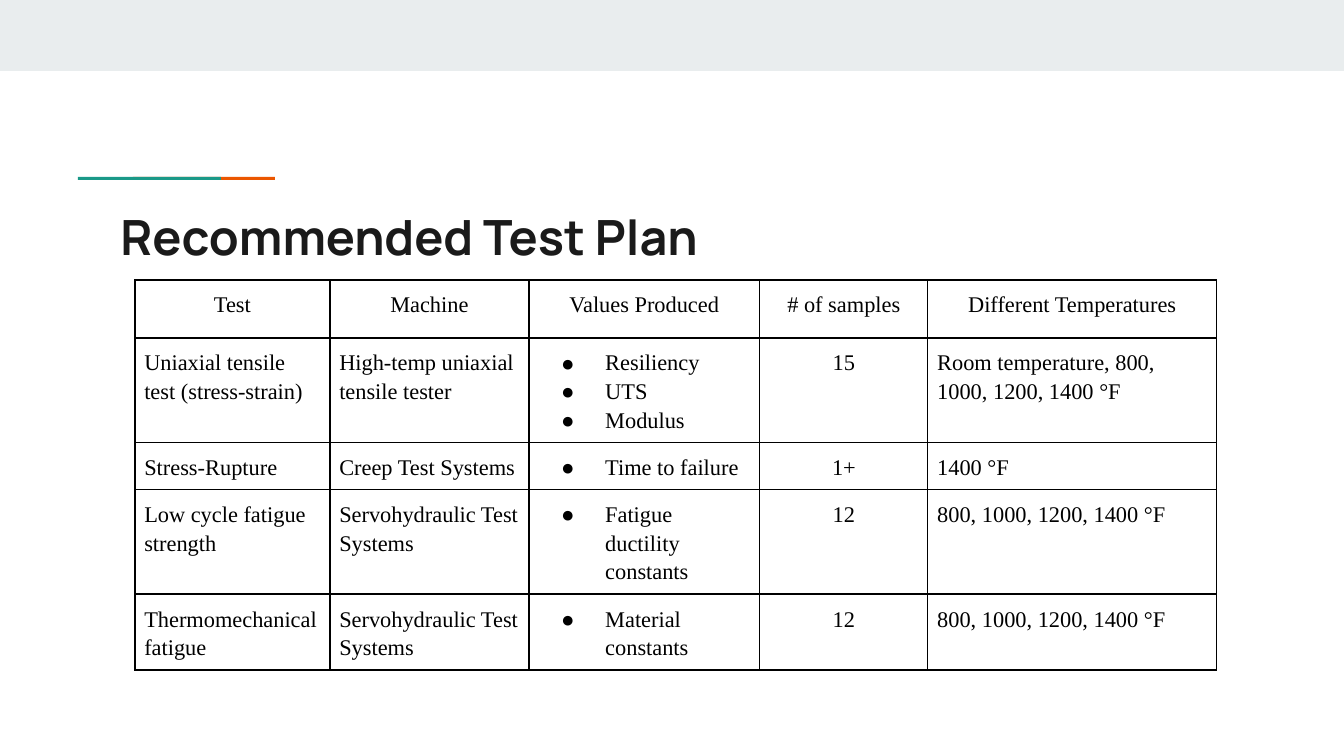
"""Build the Recommended Test Plan slide."""
from lxml.etree import SubElement
from pptx import Presentation
from pptx.dml.color import RGBColor
from pptx.enum.shapes import MSO_SHAPE
from pptx.enum.text import MSO_ANCHOR, MSO_AUTO_SIZE, PP_ALIGN
from pptx.oxml.ns import qn
from pptx.util import Pt

PX = 914400 / 134.4
BLACK = RGBColor(0x00, 0x00, 0x00)
INK = RGBColor(0x1A, 0x1A, 0x1A)
WHITE = RGBColor(0xFF, 0xFF, 0xFF)
GREY = RGBColor(0xE9, 0xED, 0xEE)
TEAL = RGBColor(0x1A, 0x99, 0x88)
RUST = RGBColor(0xEB, 0x56, 0x00)

TITLE = "Recommended Test Plan"
ROWS = [
    ("Test", "Machine", "Values Produced", "# of samples",
     "Different Temperatures"),
    ("Uniaxial tensile test (stress-strain)",
     "High-temp uniaxial tensile tester", "Resiliency\nUTS\nModulus", "15",
     "Room temperature, 800, 1000, 1200, 1400 °F"),
    ("Stress-Rupture", "Creep Test Systems", "Time to failure", "1+",
     "1400 °F"),
    ("Low cycle fatigue strength", "Servohydraulic Test Systems",
     "Fatigue ductility constants", "12", "800, 1000, 1200, 1400 °F"),
    ("Thermomechanical fatigue", "Servohydraulic Test Systems",
     "Material constants", "12", "800, 1000, 1200, 1400 °F"),
]
WIDTHS = [195, 199, 231, 168, 289]
HEIGHTS = [58, 104, 47, 104, 76]
BARS = [
    (0, 0, 1344, 71, GREY),
    (133, 177, 142, 3, RUST),
    (78, 177, 143, 3, TEAL),
]
VALUES, COUNT = 2, 3


def emu(px):
    """Turn px into EMU."""
    return round(px * PX)


def pad(item, size):
    """Set all four margins of a cell or text frame."""
    item.margin_left = item.margin_right = size
    item.margin_top = item.margin_bottom = size


def style(par, name, size, color, bold=False):
    """Format the runs of a paragraph."""
    for run in par.runs:
        font = run.font
        font.name, font.size, font.bold = name, Pt(size), bold
        font.color.rgb = color


def bullet(par):
    """Give a paragraph a black round bullet."""
    props = par._p.get_or_add_pPr()
    props.set("marL", str(emu(67)))
    props.set("indent", str(-emu(44)))
    tint = SubElement(props, qn("a:buClr"))
    SubElement(tint, qn("a:srgbClr"), val=str(BLACK))
    SubElement(props, qn("a:buFont"), typeface="Times New Roman")
    SubElement(props, qn("a:buChar"), char="●")


def border(cell):
    """Draw a thin black line on each side of a cell."""
    props = cell._tc.get_or_add_tcPr()
    for side in "LRTB":
        line = SubElement(props, qn(f"a:ln{side}"), w=str(Pt(0.75)))
        fill = SubElement(line, qn("a:solidFill"))
        SubElement(fill, qn("a:srgbClr"), val=str(BLACK))


def add_bars(slide):
    """Add the top band and the two accent bars."""
    for *box, color in BARS:
        bar = slide.shapes.add_shape(MSO_SHAPE.RECTANGLE, *map(emu, box))
        bar.shadow.inherit = False
        bar.fill.solid()
        bar.fill.fore_color.rgb = color
        bar.line.fill.background()


def set_title(slide):
    """Place and format the title."""
    title = slide.shapes.title
    title.left, title.top, title.width, title.height = map(
        emu, (107, 194, 1130, 79))
    frame = title.text_frame
    frame.text = TITLE
    frame.word_wrap = True
    frame.auto_size = MSO_AUTO_SIZE.NONE
    frame.vertical_anchor = MSO_ANCHOR.TOP
    pad(frame, Pt(7.2))
    par = frame.paragraphs[0]
    par.alignment = PP_ALIGN.LEFT
    style(par, "Manrope", 26, INK, True)


def fill_cell(cell, text, row, col):
    """Write and format one table cell."""
    cell.text_frame.text = text
    pad(cell, Pt(5))
    border(cell)
    cell.fill.background()
    mid = row == 0 or col == COUNT
    for par in cell.text_frame.paragraphs:
        par.alignment = PP_ALIGN.CENTER if mid else PP_ALIGN.LEFT
        par.line_spacing = 1.15
        if row and col == VALUES:
            bullet(par)
        style(par, "Times New Roman", 12, BLACK)


def add_plan(slide):
    """Add the test plan table."""
    box = map(emu, (135, 280, sum(WIDTHS), sum(HEIGHTS)))
    table = slide.shapes.add_table(len(ROWS), len(WIDTHS), *box).table
    table.first_row = table.horz_banding = False
    for col, width in zip(table.columns, WIDTHS):
        col.width = emu(width)
    for row, height in zip(table.rows, HEIGHTS):
        row.height = emu(height)
    for r, texts in enumerate(ROWS):
        for c, text in enumerate(texts):
            fill_cell(table.cell(r, c), text, r, c)


def main():
    """Build and save the slide."""
    deck = Presentation()
    deck.slide_width, deck.slide_height = emu(1344), emu(756)
    slide = deck.slides.add_slide(deck.slide_layouts[5])
    slide.background.fill.solid()
    slide.background.fill.fore_color.rgb = WHITE
    add_bars(slide)
    set_title(slide)
    add_plan(slide)
    deck.save("out.pptx")


if __name__ == "__main__":
    main()
